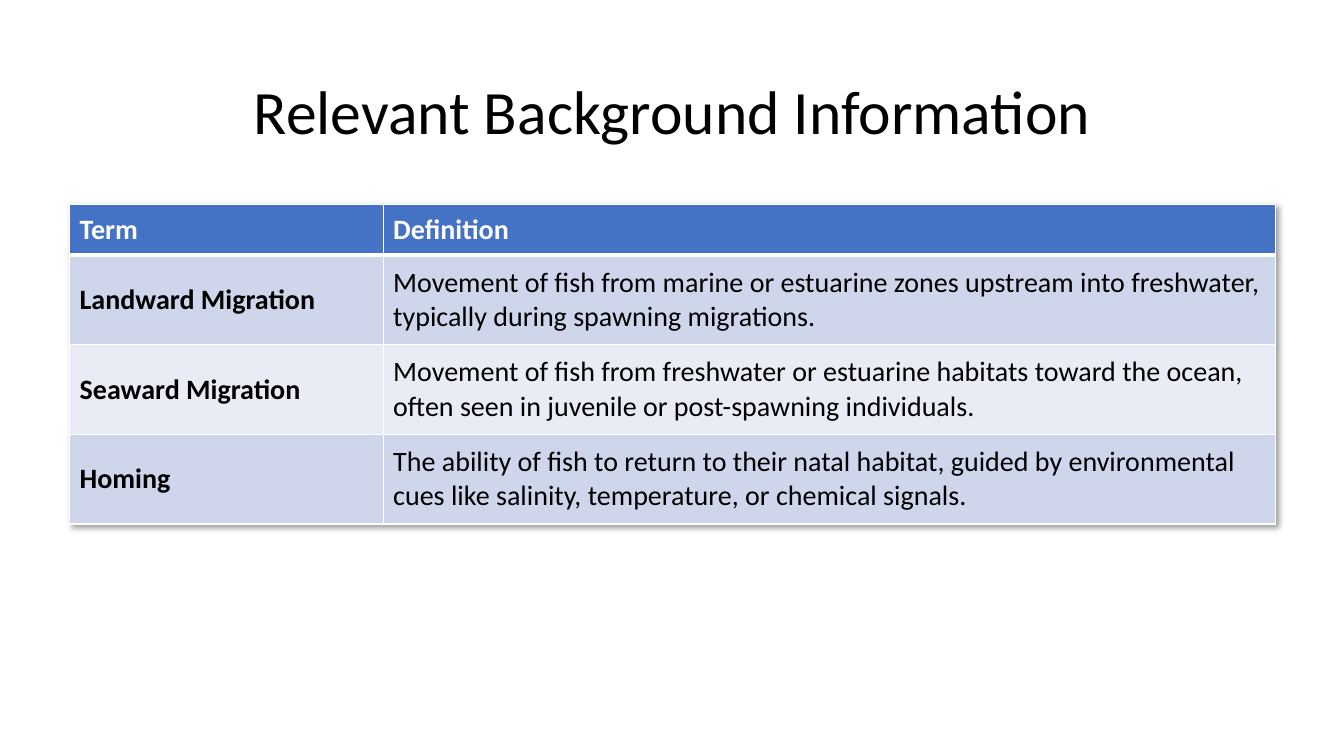
from lxml.etree import SubElement
from pptx import Presentation
from pptx.dml.color import RGBColor
from pptx.enum.text import MSO_ANCHOR as Anchor, PP_ALIGN as Align
from pptx.oxml import parse_xml
from pptx.oxml.ns import nsdecls, qn
from pptx.util import Inches, Pt

FONT = "Calibri"
BLACK, WHITE = "000000", "FFFFFF"
HEADER_FILL, BAND_FILLS = "4472C4", ("CFD5EA", "E9EBF5")
COLUMN_WIDTHS = (3.11, 8.85)
HEADER_HEIGHT, ENTRY_HEIGHT = 0.5, 0.89
GLOSSARY = [
    ("Term", "Definition"),
    ("Landward Migration",
     "Movement of fish from marine or estuarine zones upstream into freshwater, "
     "typically during spawning migrations."),
    ("Seaward Migration",
     "Movement of fish from freshwater or estuarine habitats toward the ocean, "
     "often seen in juvenile or post-spawning individuals."),
    ("Homing",
     "The ability of fish to return to their natal habitat, guided by environmental "
     "cues like salinity, temperature, or chemical signals."),
]


def color(hex_string):
    """Turn a hex string into a colour."""
    return RGBColor.from_string(hex_string)


def add_run(paragraph, words, size, ink, bold=False):
    """Append one formatted run to a paragraph."""
    run = paragraph.add_run()
    run.text = words
    run.font.name, run.font.size, run.font.bold = FONT, Pt(size), bold
    run.font.color.rgb = color(ink)


def add_borders(cell, top, bottom):
    """Draw white cell borders, with the given top and bottom widths in points."""
    properties = cell._tc.get_or_add_tcPr()
    for index, (side, width) in enumerate(
            (("lnL", 1), ("lnR", 1), ("lnT", top), ("lnB", bottom))):
        line = properties.makeelement(qn(f"a:{side}"), {"w": str(Pt(width))})
        fill = SubElement(line, qn("a:solidFill"))
        SubElement(fill, qn("a:srgbClr"), val=WHITE)
        properties.insert(index, line)


def add_shadow(table):
    """Give the table a soft shadow to the lower right."""
    table._tbl.tblPr.insert(0, parse_xml(
        f'<a:effectLst {nsdecls("a")}>'
        '<a:outerShdw blurRad="50800" dist="38100" dir="2700000" algn="tl" rotWithShape="0">'
        '<a:srgbClr val="000000"><a:alpha val="40000"/></a:srgbClr>'
        '</a:outerShdw></a:effectLst>'))


def place_title(slide, left, top, width, height):
    """Set the heading in the title placeholder."""
    title = slide.shapes.title
    title.left, title.top = Inches(left), Inches(top)
    title.width, title.height = Inches(width), Inches(height)
    title.text_frame.vertical_anchor = Anchor.MIDDLE
    heading = title.text_frame.paragraphs[0]
    heading.alignment, heading.line_spacing = Align.CENTER, 0.9
    add_run(heading, "Relevant Background Information", 44, BLACK)


def place_glossary(slide, left, top):
    """Build the table of terms and definitions."""
    heights = [HEADER_HEIGHT] + [ENTRY_HEIGHT] * (len(GLOSSARY) - 1)
    table = slide.shapes.add_table(
        len(GLOSSARY), len(COLUMN_WIDTHS), Inches(left), Inches(top),
        Inches(sum(COLUMN_WIDTHS)), Inches(sum(heights))).table
    add_shadow(table)
    for column, width in zip(table.columns, COLUMN_WIDTHS):
        column.width = Inches(width)
    for row_index, entry in enumerate(GLOSSARY):
        table.rows[row_index].height = Inches(heights[row_index])
        is_header = row_index == 0
        fill = HEADER_FILL if is_header else BAND_FILLS[(row_index - 1) % 2]
        for column_index, words in enumerate(entry):
            cell = table.cell(row_index, column_index)
            cell.vertical_anchor = Anchor.MIDDLE
            cell.fill.solid()
            cell.fill.fore_color.rgb = color(fill)
            add_borders(cell, 3 if row_index == 1 else 1, 3 if is_header else 1)
            add_run(cell.text_frame.paragraphs[0], words, 20,
                    WHITE if is_header else BLACK, is_header or column_index == 0)


def main():
    """Build and save the slide."""
    deck = Presentation()
    deck.slide_width, deck.slide_height = Inches(13.33), Inches(7.5)
    slide = deck.slides.add_slide(deck.slide_layouts[5])
    place_title(slide, 0.92, 0.41, 11.5, 1.45)
    place_glossary(slide, 0.69, 2.03)
    deck.save("out.pptx")


if __name__ == "__main__":
    main()
